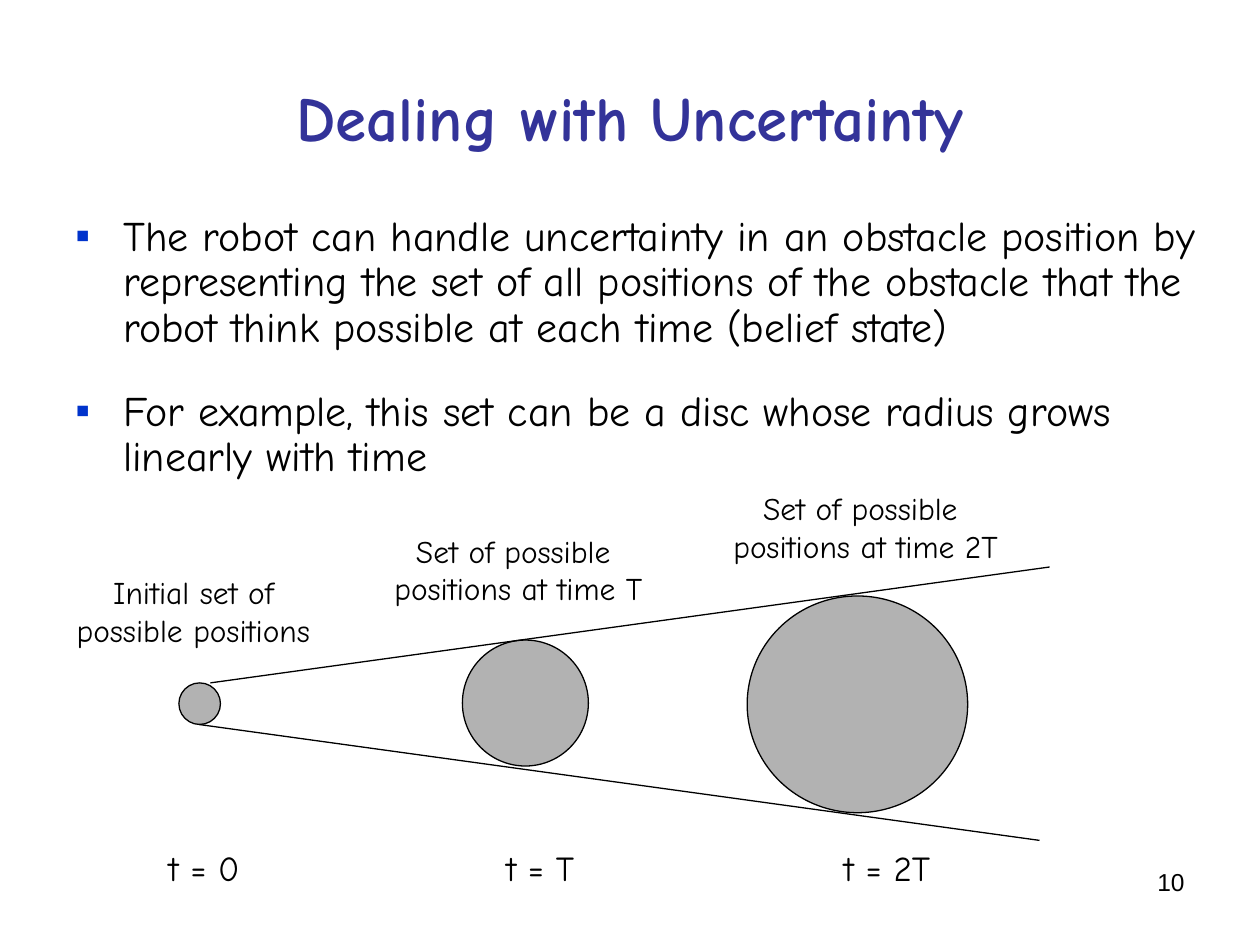
"""Build a slide on a robot's growing uncertainty about an obstacle position."""
from lxml.etree import SubElement
from pptx import Presentation
from pptx.dml.color import RGBColor
from pptx.enum.shapes import MSO_CONNECTOR, MSO_SHAPE
from pptx.enum.text import MSO_ANCHOR, PP_ALIGN
from pptx.oxml.ns import qn
from pptx.util import Inches, Pt

FONT = "Comic Neue"
TITLE = "Dealing with Uncertainty"
POINTS = [
    "The robot can handle uncertainty in an obstacle position by representing the set of "
    "all positions of the obstacle that the robot think possible at each time (belief state)",
    "For example, this set can be a disc whose radius grows linearly with time",
]
DISCS = [(1.42, 5.42, 0.33, 0.33), (3.67, 5.08, 1, 1), (5.93, 4.73, 1.75, 1.72)]
TANGENTS = [(1.67, 5.42, 8.33, 4.5), (1.58, 5.75, 8.25, 6.67)]
CAPTIONS = [
    ("Initial set of\vpossible positions", (0.51, 4.5, 2.05, 0.7)),
    ("Set of possible \vpositions at time T", (3.03, 4.17, 2.17, 0.7)),
    ("Set of possible \vpositions at time 2T", (5.72, 3.83, 2.3, 0.7)),
]
TIMES = ["t = 0", "t = T", "t = 2T"]
TIME_LEFT, TIME_TOP, TIME_PITCH = 1.24, 6.67, 2.68


def color(value):
    return RGBColor.from_string(value)


def add_bullet(para):
    properties = para._p.get_or_add_pPr()
    properties.set("marL", str(Inches(0.38)))
    properties.set("indent", str(-Inches(0.38)))
    bullet_color = SubElement(properties, qn("a:buClr"))
    SubElement(bullet_color, qn("a:srgbClr"), val="0033CC")
    SubElement(properties, qn("a:buFont"), typeface="Arial")
    SubElement(properties, qn("a:buChar"), char="▪")


def add_text(page, texts, place, size, align=PP_ALIGN.LEFT, font=FONT, ink="000000",
             bold=False, wrap=True, bullets=False, anchor=MSO_ANCHOR.TOP):
    frame = page.shapes.add_textbox(*map(Inches, place)).text_frame
    frame.word_wrap = wrap
    frame.vertical_anchor = anchor
    for index, text in enumerate(texts):
        para = frame.add_paragraph() if index else frame.paragraphs[0]
        para.text = text
        para.alignment = align
        if bullets:
            para.line_spacing = 0.9
            para.space_before = Pt(22 if index else 0)
            add_bullet(para)
        para.font.name = font
        para.font.size = Pt(size)
        para.font.bold = bold
        para.font.color.rgb = color(ink)


def draw_outline(shape):
    shape.line.color.rgb = color("000000")
    shape.line.width = Pt(0.75)


def add_disc(page, place):
    disc = page.shapes.add_shape(MSO_SHAPE.OVAL, *map(Inches, place))
    disc.shadow.inherit = False
    disc.fill.solid()
    disc.fill.fore_color.rgb = color("B2B2B2")
    draw_outline(disc)


def add_tangent(page, ends):
    tangent = page.shapes.add_connector(MSO_CONNECTOR.STRAIGHT, *map(Inches, ends))
    draw_outline(tangent)
    SubElement(tangent._element.spPr, qn("a:effectLst"))


def main():
    deck = Presentation()
    deck.slide_width, deck.slide_height = Inches(10), Inches(7.5)
    page = deck.slides.add_slide(deck.slide_layouts[6])
    add_text(page, [TITLE], (0.5, 0.3, 9, 1.25), 36, PP_ALIGN.CENTER,
             ink="333399", bold=True, anchor=MSO_ANCHOR.MIDDLE)
    add_text(page, POINTS, (0.5, 1.66, 9.17, 2.5), 24, bullets=True)
    for place in DISCS:
        add_disc(page, place)
    for ends in TANGENTS:
        add_tangent(page, ends)
    for caption, place in CAPTIONS:
        add_text(page, [caption], place, 18, PP_ALIGN.CENTER, wrap=False)
    for column, time in enumerate(TIMES):
        left = TIME_LEFT + column * TIME_PITCH
        add_text(page, [time], (left, TIME_TOP, 0.9, 0.44), 20, wrap=False)
    add_text(page, ["10"], (7.17, 6.83, 2.33, 0.52), 14, PP_ALIGN.RIGHT, font="Arial")
    deck.save("out.pptx")


if __name__ == "__main__":
    main()
